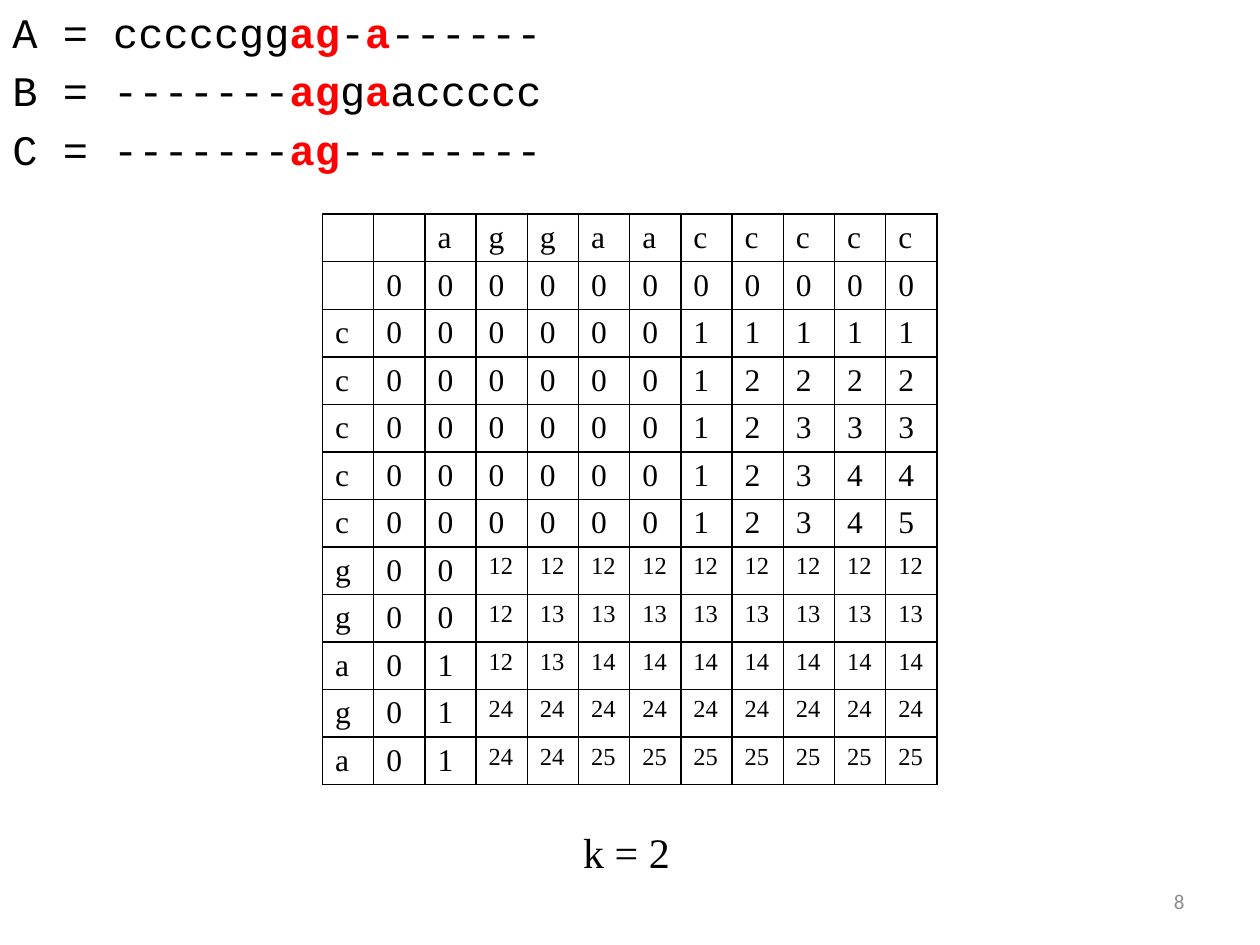
"""Build the slide showing a constrained alignment and its k = 2 scoring matrix."""
import dataclasses
import typing

import lxml.etree
import pptx
import pptx.dml.color
import pptx.enum.text
import pptx.oxml.ns
import pptx.util

Inches = pptx.util.Inches
Pt = pptx.util.Pt
Align = pptx.enum.text.PP_ALIGN
Anchor = pptx.enum.text.MSO_ANCHOR
qn = pptx.oxml.ns.qn


@dataclasses.dataclass(frozen=True)
class Theme:
    ink: str = "000000"
    matched: str = "FF0000"
    muted: str = "8C8C8C"
    sequence_font: str = "Courier New"
    score_font: str = "Times New Roman"
    page_font: str = "Calibri"
    large: float = 24
    score: float = 18
    small_score: float = 14
    page: float = 12
    border: float = 1


@dataclasses.dataclass(frozen=True)
class Box:
    left: float
    top: float
    width: float
    height: float

    def lengths(self) -> tuple:
        return tuple(map(Inches, (self.left, self.top, self.width, self.height)))


@dataclasses.dataclass(frozen=True)
class ScoreRow:
    label: str
    scores: str


THEME = Theme()
ALIGNMENT = (
    "A = cccccgg*ag*-*a*------",
    "B = -------*ag*g*a*accccc",
    "C = -------*ag*--------",
)
COLUMN_LETTERS = "aggaaccccc"
MATRIX = (
    ScoreRow("", "0 0 0 0 0 0 0 0 0 0 0"),
    ScoreRow("c", "0 0 0 0 0 0 1 1 1 1 1"),
    ScoreRow("c", "0 0 0 0 0 0 1 2 2 2 2"),
    ScoreRow("c", "0 0 0 0 0 0 1 2 3 3 3"),
    ScoreRow("c", "0 0 0 0 0 0 1 2 3 4 4"),
    ScoreRow("c", "0 0 0 0 0 0 1 2 3 4 5"),
    ScoreRow("g", "0 0 12 12 12 12 12 12 12 12 12"),
    ScoreRow("g", "0 0 12 13 13 13 13 13 13 13 13"),
    ScoreRow("a", "0 1 12 13 14 14 14 14 14 14 14"),
    ScoreRow("g", "0 1 24 24 24 24 24 24 24 24 24"),
    ScoreRow("a", "0 1 24 24 25 25 25 25 25 25 25"),
)


def write_text(frame: typing.Any, lines: typing.Sequence[str], *, font: str,
               size: float, color: str = THEME.ink, align: Align = Align.LEFT,
               gap: float = 0) -> None:
    """Fill a text frame, marking the parts between asterisks as matched."""
    for index, line in enumerate(lines):
        paragraph = frame.add_paragraph() if index else frame.paragraphs[0]
        paragraph.alignment = align
        if index:
            paragraph.space_before = Pt(gap)
        for position, part in enumerate(line.split("*")):
            if not part:
                continue
            matched = position % 2 == 1
            run = paragraph.add_run()
            run.text = part
            run.font.name = font
            run.font.size = Pt(size)
            run.font.bold = matched
            run.font.color.rgb = pptx.dml.color.RGBColor.from_string(
                THEME.matched if matched else color)
        lxml.etree.SubElement(paragraph._p, qn("a:endParaRPr"), sz=str(int(size * 100)))


def add_text(slide: typing.Any, box: Box, lines: typing.Sequence[str],
             anchor: Anchor = Anchor.TOP, **text_format: typing.Any) -> None:
    """Add a wrapping text box."""
    frame = slide.shapes.add_textbox(*box.lengths()).text_frame
    frame.word_wrap = True
    frame.vertical_anchor = anchor
    write_text(frame, lines, **text_format)


def set_borders(cell: typing.Any) -> None:
    """Draw a thin line on all four sides of a cell."""
    properties = cell._tc.get_or_add_tcPr()
    for index, side in enumerate(("a:lnL", "a:lnR", "a:lnT", "a:lnB")):
        line = lxml.etree.Element(qn(side), w=str(Pt(THEME.border)))
        fill = lxml.etree.SubElement(line, qn("a:solidFill"))
        lxml.etree.SubElement(fill, qn("a:srgbClr"), val=THEME.ink)
        properties.insert(index, line)


def add_matrix(slide: typing.Any, box: Box) -> None:
    """Add the scoring matrix with its column and row letters."""
    grid = [["", "", *COLUMN_LETTERS]]
    grid += [[row.label, *row.scores.split()] for row in MATRIX]
    table = slide.shapes.add_table(len(grid), len(grid[0]), *box.lengths()).table
    table.first_row = False
    table.horz_banding = False
    for row, values in enumerate(grid):
        for column, value in enumerate(values):
            cell = table.cell(row, column)
            cell.fill.background()
            cell.margin_bottom = Inches(0.01)
            set_borders(cell)
            size = THEME.small_score if len(value) > 1 else THEME.score
            write_text(cell.text_frame, [value], font=THEME.score_font, size=size)


def main() -> None:
    """Build and save the slide."""
    deck = pptx.Presentation()
    deck.slide_width, deck.slide_height = Inches(10), Inches(7.5)
    slide = deck.slides.add_slide(deck.slide_layouts[6])
    add_text(slide, Box(0, 0, 10, 1.5), ALIGNMENT,
             font=THEME.sequence_font, size=THEME.large, gap=4.8)
    add_text(slide, Box(4.53, 6.51, 0.95, 0.47), ["k = 2"],
             font=THEME.score_font, size=THEME.large)
    add_text(slide, Box(7.17, 6.95, 2.33, 0.4), ["8"], Anchor.MIDDLE,
             font=THEME.page_font, size=THEME.page, color=THEME.muted, align=Align.RIGHT)
    add_matrix(slide, Box(2.56, 1.7, 4.88, 4.53))
    deck.save("out.pptx")


if __name__ == "__main__":
    main()
